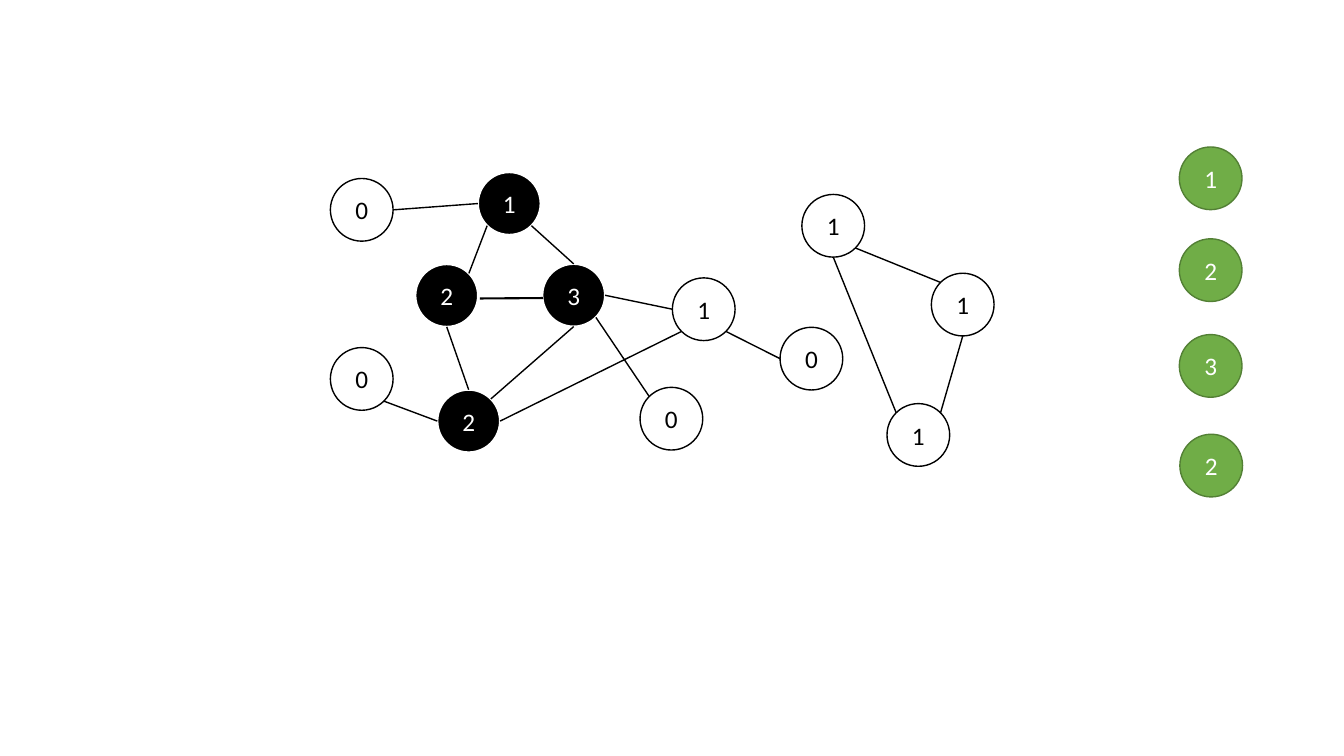
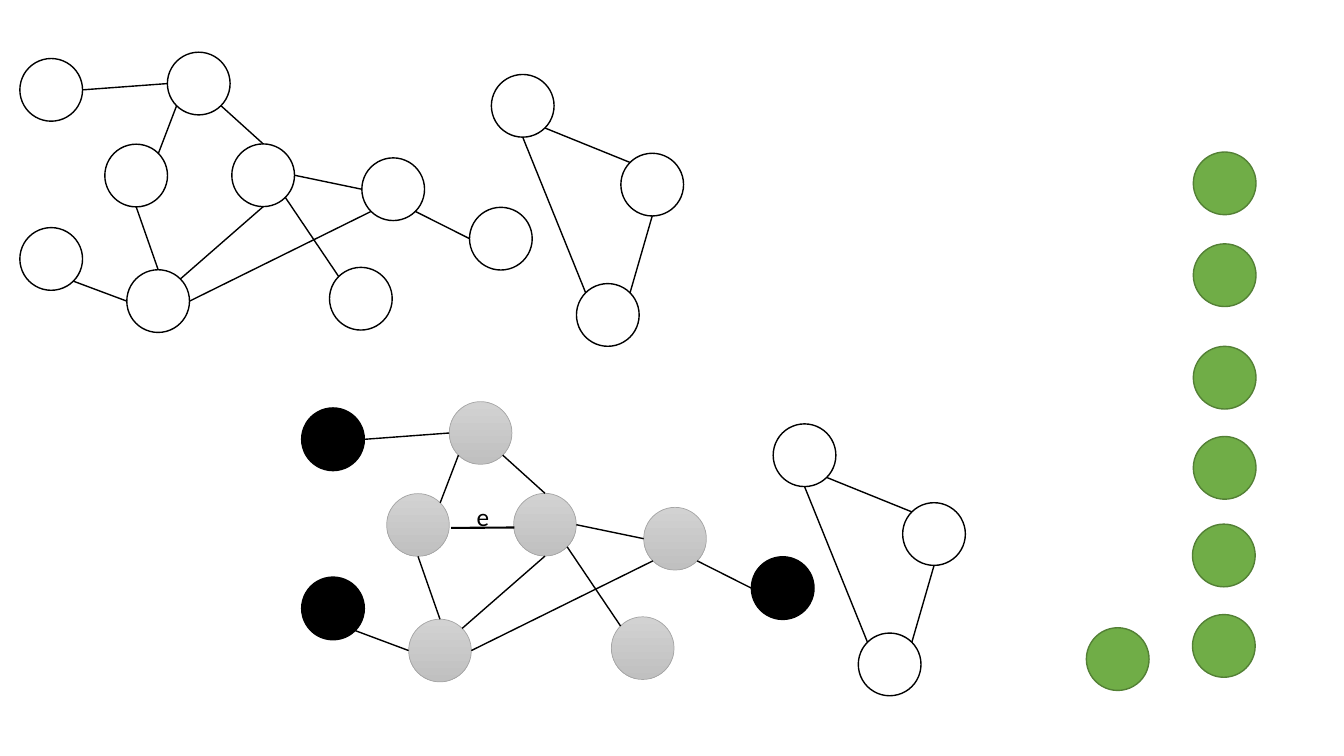
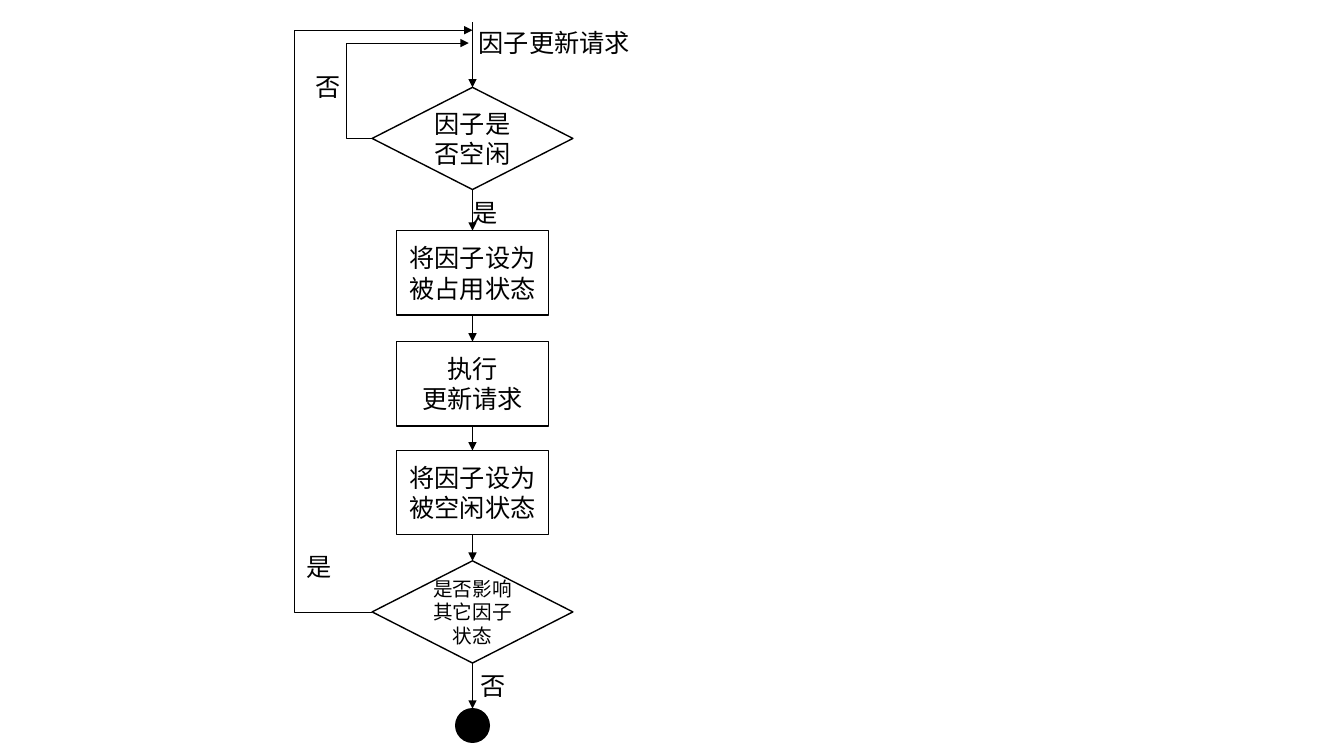
from math import cos, pi, sin

from lxml.etree import SubElement
from pptx import Presentation
from pptx.dml.color import RGBColor
from pptx.enum.shapes import MSO_CONNECTOR, MSO_SHAPE
from pptx.enum.text import MSO_ANCHOR, MSO_AUTO_SIZE, PP_ALIGN
from pptx.oxml.ns import qn
from pptx.util import Pt

theme = {
    "font": "Calibri",
    "size": 18,
    "small": 14,
    "black": "000000",
    "thin": 0.5,
    "line": 1,
    "bold": 1.5,
    "looks": {
        "white": {"fill": ["FFFFFF"], "edge": "000000", "width": 1, "ink": "000000"},
        "black": {"fill": ["000000"], "edge": "000000", "width": 1, "ink": "FFFFFF"},
        "ring": {"fill": ["000000"], "edge": "FFFFFF", "width": 1.5, "ink": "FFFFFF"},
        "green": {"fill": ["70AD47"], "edge": "538035", "width": 1, "ink": "FFFFFF"},
        "grey": {"fill": ["D2D2D2", "C0C0C0"], "edge": "A5A5A5", "width": 0.5, "ink": "000000"},
        "plain": {"fill": [], "edge": None, "width": 0, "ink": "000000"},
    },
}


def put(shapes, kind, box, look, text="", size=theme["size"]):
    style = theme["looks"][look]
    area = [Pt(n) for n in box]
    if kind is None:
        shape = shapes.add_textbox(*area)
        form = {"word_wrap": True, "auto_size": MSO_AUTO_SIZE.SHAPE_TO_FIT_TEXT}
        align = PP_ALIGN.LEFT
    else:
        shape = shapes.add_shape(kind, *area)
        shape.shadow.inherit = False
        form = {"word_wrap": True, "vertical_anchor": MSO_ANCHOR.MIDDLE}
        align = PP_ALIGN.CENTER
        if len(style["fill"]) > 1:
            shape.fill.gradient()
            shape.fill.gradient_angle = 270
            for stop, tone in zip(shape.fill.gradient_stops, style["fill"]):
                stop.color.rgb = RGBColor.from_string(tone)
        else:
            shape.fill.solid()
            shape.fill.fore_color.rgb = RGBColor.from_string(style["fill"][0])
        shape.line.color.rgb = RGBColor.from_string(style["edge"])
        shape.line.width = Pt(style["width"])
    if text:
        frame = shape.text_frame
        for key, value in form.items():
            setattr(frame, key, value)
        frame.text = text
        for para in frame.paragraphs:
            para.alignment = align
            for run in para.runs:
                for key, value in {"name": theme["font"], "size": Pt(size)}.items():
                    setattr(run.font, key, value)
                run.font.color.rgb = RGBColor.from_string(style["ink"])
    return shape


def link(shapes, start, end, width, arrow=False, bend=None):
    kind = MSO_CONNECTOR.STRAIGHT if bend is None else MSO_CONNECTOR.ELBOW
    line = shapes.add_connector(kind, *[Pt(n) for n in (*start, *end)])
    line.line.color.rgb = RGBColor.from_string(theme["black"])
    line.line.width = Pt(width)
    props = line._element.spPr
    if arrow:
        SubElement(props.find(qn("a:ln")), qn("a:tailEnd"), type="triangle")
    if bend is not None:
        geom = props.find(qn("a:prstGeom"))
        guides = geom.find(qn("a:avLst"))
        if guides is None:
            guides = SubElement(geom, qn("a:avLst"))
        SubElement(guides, qn("a:gd"), name="adj1", fmla=f"val {bend}")
    SubElement(props, qn("a:effectLst"))
    return line


deck = Presentation()
deck.slide_width, deck.slide_height = Pt(960), Pt(540)
pages = [deck.slides.add_slide(deck.slide_layouts[6]).shapes for _ in range(3)]
first, second, third = pages

disc = 44.8
nodes = [
    (14.2, 41.8), (74.9, 103), (14.2, 162.6), (90.6, 192.7),
    (165.6, 102.8), (119.6, 37.3), (235.4, 191), (258.5, 112.8),
    (351, 53.2), (335.4, 148.1), (411.8, 202.6), (443.5, 109.5),
]
sites = ["E", "SE", "S", "SW", "W", "NW", "N", "NE"]
edges = [
    (5, "W", 0, "E"), (2, "SE", 3, "W"), (1, "NE", 5, "SW"),
    (4, "E", 7, "W"), (4, "SE", 6, "NW"), (7, "SW", 3, "E"),
    (5, "SE", 4, "N"), (1, "S", 3, "N"), (3, "NE", 4, "S"),
    (7, "SE", 9, "W"), (8, "SE", 11, "NW"), (11, "S", 10, "NE"),
    (8, "S", 10, "NW"),
]
codes = {"w": "white", "k": "black", "r": "ring", "g": "grey"}
graphs = [
    (first.add_group_shape().shapes, 221.8, 85.7, "wrwrrrwwwwww", "020231011011", True),
    (second, 0, 0, "w" * 12, "", False),
    (second, 201.3, 249.6, "kgkgggggwkww", "", True),
]
for shapes, dx, dy, looks, marks, joined in graphs:
    for num, (x, y) in enumerate(nodes):
        put(shapes, MSO_SHAPE.FLOWCHART_CONNECTOR, (x + dx, y + dy, disc, disc),
            codes[looks[num]], marks[num:num + 1])
    for one, out, two, into in edges:
        ends = []
        for num, site in ((one, out), (two, into)):
            turn = sites.index(site) * pi / 4
            x, y = nodes[num]
            ends.append((x + dx + disc / 2 * (1 + cos(turn)),
                         y + dy + disc / 2 * (1 + sin(turn))))
        link(shapes, *ends, theme["line"])
    if joined:
        link(shapes, (121 + dx, 127.5 + dy), (166.2 + dx, 127.2 + dy), theme["bold"])

greens = [
    (first, [(842.4, 105), (842.4, 170.6), (842.4, 239), (842.8, 310.2)], "1232"),
    (second, [(852.4, 108.6), (852.4, 174.2), (852.4, 247.4), (852.4, 311.8),
              (851.8, 374.4), (851.8, 439), (776, 448.4)], ""),
]
for shapes, spots, marks in greens:
    for num, (x, y) in enumerate(spots):
        put(shapes, MSO_SHAPE.FLOWCHART_CONNECTOR, (x, y, disc, disc), "green",
            marks[num:num + 1])
put(second, None, (333.4, 354.2, 25.2, 29), "plain", "e")

axis = 337.5
steps = [
    (MSO_SHAPE.DIAMOND, 62.4, 143.4, 73, "因子是否空闲", theme["size"]),
    (MSO_SHAPE.RECTANGLE, 164.8, 108.8, 60.2, "将因子设为被占用状态", theme["size"]),
    (MSO_SHAPE.RECTANGLE, 244, 108.8, 60.2, "执行\n更新请求", theme["size"]),
    (MSO_SHAPE.RECTANGLE, 321.8, 108.8, 60.2, "将因子设为被空闲状态", theme["size"]),
    (MSO_SHAPE.DIAMOND, 400.6, 143.4, 73, "是否影响其它因子状态", theme["small"]),
    (MSO_SHAPE.FLOWCHART_CONNECTOR, 506.2, 24, 24, "", theme["size"]),
]
flow = []
for kind, top, wide, high, text, size in steps:
    look = "white" if text else "black"
    flow.append(put(third, kind, (axis - wide / 2, top, wide, high), look, text, size))
entry = link(third, (axis, 16), (axis, 62.4), theme["thin"], True)
entry.end_connect(flow[0], 0)
for prior, after in zip(flow, flow[1:]):
    arrow = link(third, (axis, 0), (axis, 1), theme["thin"], True)
    arrow.begin_connect(prior, 2)
    arrow.end_connect(after, 0)
for start, end, bend in [
    ((265.8, 98.9), (334.8, 30.8), -26200),
    ((265.8, 437.1), (axis, 21.6), -77700),
]:
    link(third, start, end, theme["thin"], True, bend)
for x, y, wide, text in [
    (334.8, 16, 148.4, "因子更新请求"), (218.2, 47.6, 24, "否"),
    (330.6, 137.6, 24, "是"), (336.4, 475.4, 24, "否"), (211.8, 390.2, 24, "是"),
]:
    put(third, None, (x, y, wide, 29), "plain", text)

deck.save("out.pptx")
